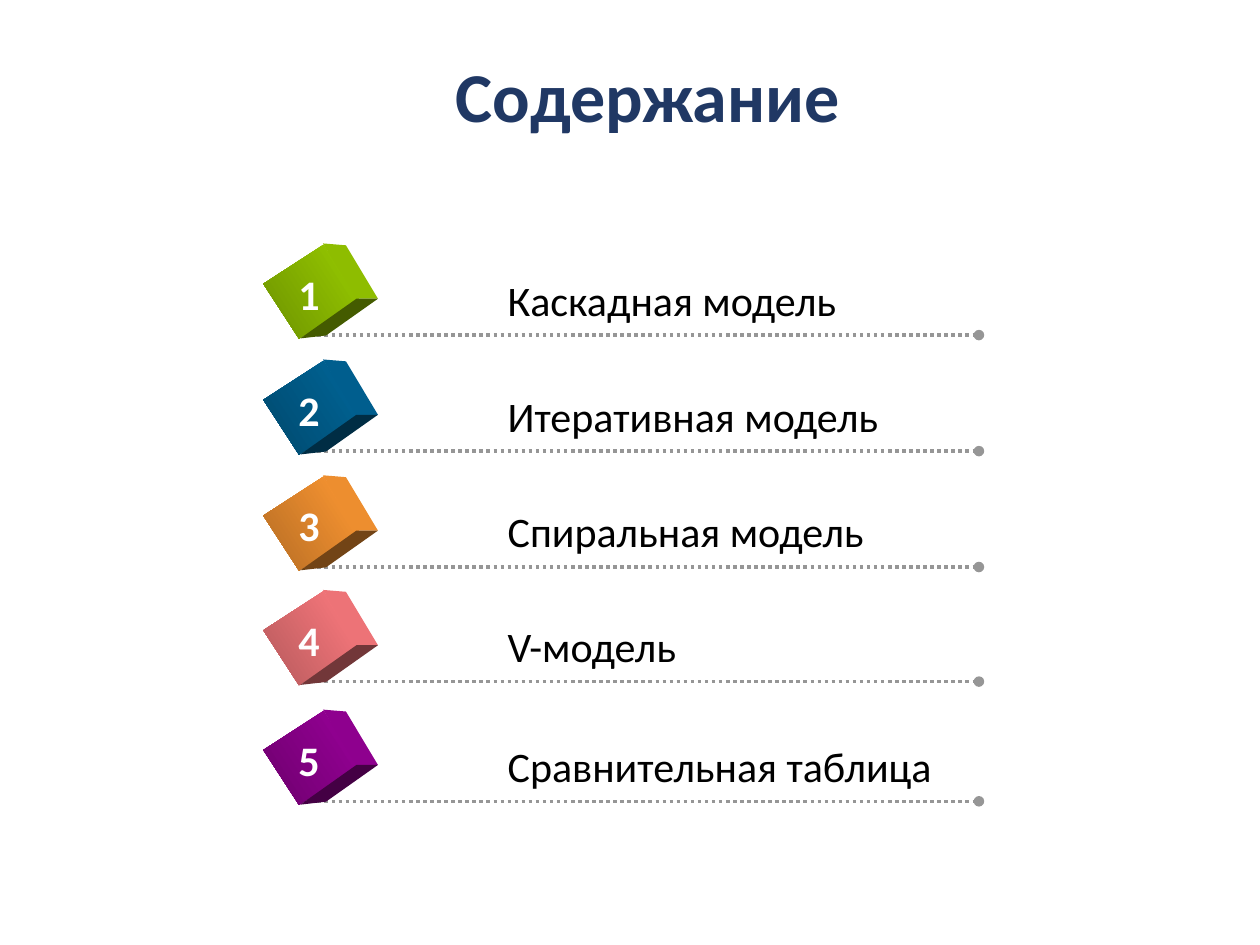
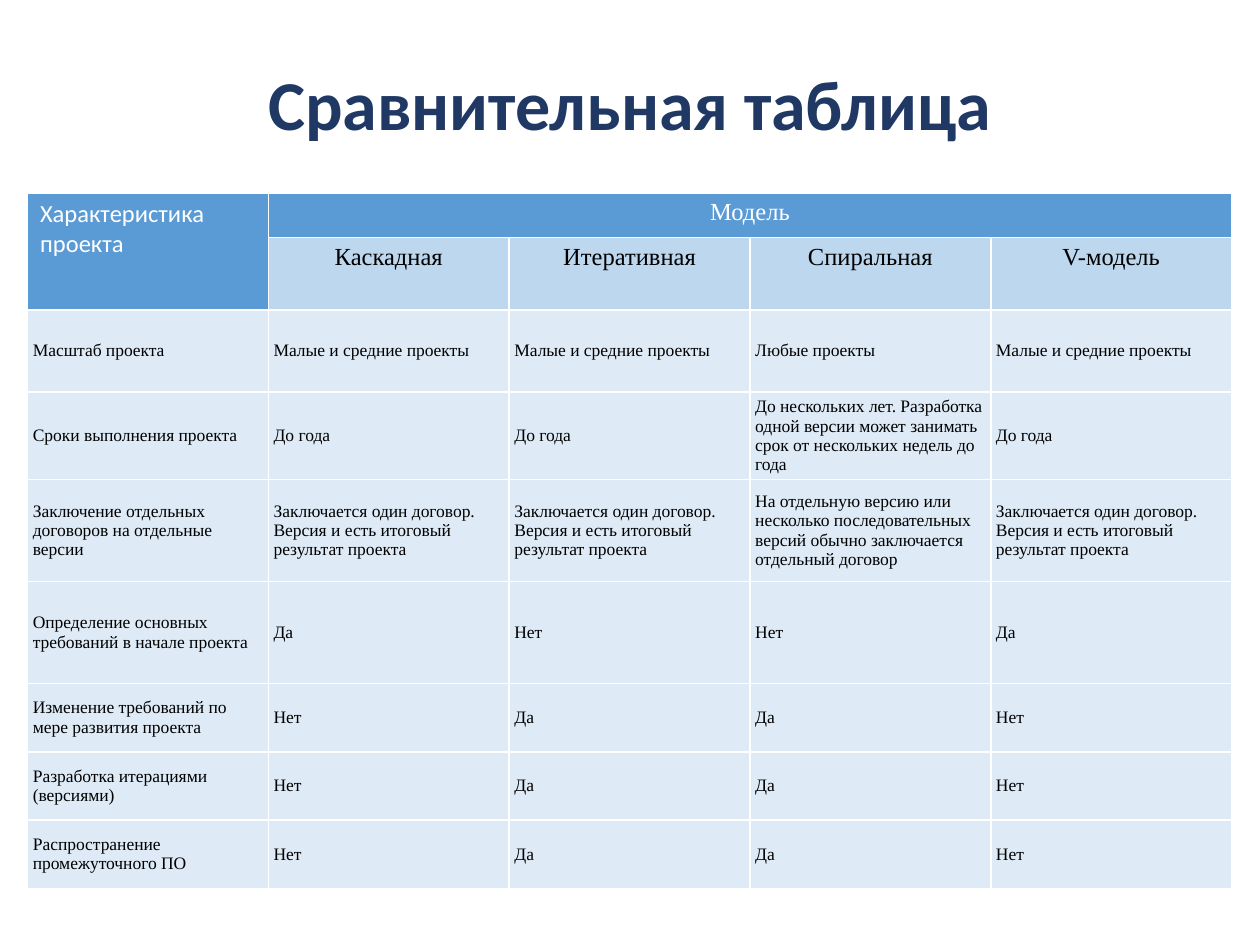
from pptx import Presentation
from pptx.util import Pt
from pptx.dml.color import RGBColor
from pptx.enum.dml import MSO_LINE
from pptx.enum.shapes import MSO_CONNECTOR, MSO_SHAPE
from pptx.enum.text import MSO_ANCHOR, MSO_AUTO_SIZE, PP_ALIGN
from pptx.oxml.ns import qn
from lxml.etree import SubElement

COLORS = {
    "title": "203864", "text": "000000", "white": "FFFFFF", "rule": "969696",
    "header": "5B9BD5", "subheader": "BDD7EE", "body": "DEEBF7",
}
SANS, SERIF = "Calibri", "Times New Roman"

CONTENTS = [
    ("Каскадная модель", "99CC00", "6D9200", 191.5, 204.5),
    ("Итеративная модель", "006699", "00496D", 257.8, 228.2),
    ("Спиральная модель", "FF9933", "B66D24", 324, 220.3),
    ("V-модель", "FF7C80", "B6595C", 389.5, 113),
    ("Сравнительная таблица", "990099", "6D006D", 457.9, 259.2),
]
SIDE_FACE = [(184.6, -52.4), (197.7, -51.3), (216, -20.8), (203.7, -20.8)]
BOTTOM_FACE = [(171.6, 1.9), (203.7, -20.8), (216, -20.8), (186.3, 0.2)]

ONE_CONTRACT = "Заключается один договор. Версия и есть итоговый результат проекта"
SMALL = "Малые и средние проекты"
MODELS = ["Каскадная", "Итеративная", "Спиральная", "V-модель"]
ROWS = [
    ["Масштаб проекта", SMALL, SMALL, "Любые проекты", SMALL],
    ["Сроки выполнения проекта", "До года", "До года",
     "До нескольких лет. Разработка одной версии может занимать срок "
     "от нескольких недель до года", "До года"],
    ["Заключение отдельных договоров на отдельные версии", ONE_CONTRACT, ONE_CONTRACT,
     "На отдельную версию или несколько последовательных версий "
     "обычно заключается отдельный договор", ONE_CONTRACT],
    ["Определение основных требований в начале проекта", "Да", "Нет", "Нет", "Да"],
    ["Изменение требований по мере развития проекта", "Нет", "Да", "Да", "Нет"],
    ["Разработка итерациями (версиями)", "Нет", "Да", "Да", "Нет"],
    ["Распространение промежуточного ПО", "Нет", "Да", "Да", "Нет"],
]
ROW_HEIGHTS = [25.6, 41.4, 46.8, 49.7, 58.3, 58.3, 39, 39, 39]
COL_WIDTH = 137.6


def rgb(value):
    return RGBColor.from_string(value)


def shade(value, factor):
    return "".join(f"{int(int(value[i:i + 2], 16) * factor):02X}" for i in (0, 2, 4))


def add_run(p, text, size, color, font=SANS, bold=False):
    r = p.add_run()
    r.text = text
    r.font.size, r.font.name, r.font.bold = Pt(size), font, bold
    r.font.color.rgb = rgb(color)


def add_slide(title, left, top):
    s = prs.slides.add_slide(prs.slide_layouts[5])
    sp = s.shapes.title
    sp.left, sp.top, sp.width, sp.height = Pt(left), Pt(top), Pt(594.7), Pt(70.6)
    tf = sp.text_frame
    tf.vertical_anchor = MSO_ANCHOR.MIDDLE
    p = tf.paragraphs[0]
    p.alignment, p.line_spacing = PP_ALIGN.CENTER, 0.9
    add_run(p, title, 40, COLORS["title"], bold=True)
    return s


def add_label(shapes, text, left, top, width, color, bold=False):
    tf = shapes.add_textbox(Pt(left), Pt(top), Pt(width), Pt(36.4)).text_frame
    tf.word_wrap = False
    tf.auto_size = MSO_AUTO_SIZE.SHAPE_TO_FIT_TEXT
    add_run(tf.paragraphs[0], text, 24, color, bold=bold)


def add_face(shapes, points, base, color):
    corners = [(Pt(x), Pt(base + y)) for x, y in points]
    builder = shapes.build_freeform(*corners[0])
    builder.add_line_segments(corners[1:], close=True)
    sp = builder.convert_to_shape()
    sp.shadow.inherit = False
    sp.fill.solid()
    sp.fill.fore_color.rgb = rgb(color)
    sp.line.fill.background()


def add_cube(shapes, base, light, dark):
    sp = shapes.add_shape(MSO_SHAPE.RECTANGLE, Pt(159.1), Pt(base - 45.3), Pt(37.4), Pt(41))
    sp.rotation = 57
    sp.shadow.inherit = False
    sp.line.fill.background()
    sp.fill.gradient()
    sp.fill.gradient_angle = 270
    for stop, color in zip(sp.fill.gradient_stops, (light, dark)):
        stop.color.rgb = rgb(color)
    add_face(shapes, SIDE_FACE, base, shade(light, 0.93))
    add_face(shapes, BOTTOM_FACE, base, shade(light, 0.45))


def add_rule(shapes, y):
    line = shapes.add_connector(MSO_CONNECTOR.STRAIGHT, Pt(181.4), Pt(y), Pt(559.4), Pt(y))
    line.line.color.rgb = rgb(COLORS["rule"])
    line.line.width = Pt(2)
    line.line.dash_style = MSO_LINE.ROUND_DOT
    spPr = line._element.spPr
    SubElement(spPr.find(qn("a:ln")), qn("a:tailEnd"), type="oval")
    SubElement(spPr, qn("a:effectLst"))


def set_cell(cell, text, fill, color, size, font=SERIF, centered=False):
    p = cell.text_frame.paragraphs[0]
    if centered:
        p.alignment = PP_ALIGN.CENTER
    if text:
        add_run(p, text, size, color, font)
    tcPr = cell._tc.get_or_add_tcPr()
    for side in ("a:lnL", "a:lnR", "a:lnT", "a:lnB"):
        ln = SubElement(tcPr, qn(side), w=str(Pt(1)))
        SubElement(SubElement(ln, qn("a:solidFill")), qn("a:srgbClr"), val=COLORS["white"])
    cell.fill.solid()
    cell.fill.fore_color.rgb = rgb(fill)


prs = Presentation()
prs.slide_width, prs.slide_height = Pt(720), Pt(540)

s = add_slide("Содержание", 72.7, 21.6)
for number, (text, light, dark, base, width) in enumerate(CONTENTS, 1):
    shapes = s.shapes.add_group_shape().shapes
    add_rule(shapes, base)
    add_cube(shapes, base, light, dark)
    add_label(shapes, text, 283, base - 38.4, width, COLORS["text"])
    add_label(shapes, str(number), 163.4, base - 41.8, 28.1, COLORS["white"], True)

s = add_slide("Сравнительная таблица", 62.6, 26.6)
table = s.shapes.add_table(len(ROW_HEIGHTS), 5, Pt(15.8), Pt(110.2),
                           Pt(5 * COL_WIDTH), Pt(sum(ROW_HEIGHTS))).table
for col in table.columns:
    col.width = Pt(COL_WIDTH)
for row, height in zip(table.rows, ROW_HEIGHTS):
    row.height = Pt(height)

heads = ["Характеристика проекта", "Модель", "", "", ""]
for c, text in enumerate(heads):
    set_cell(table.cell(0, c), text, COLORS["header"], COLORS["white"], 14,
             SERIF if c else SANS, c > 0)
for c, text in enumerate([""] + MODELS):
    set_cell(table.cell(1, c), text, COLORS["subheader" if c else "header"],
             COLORS["text"], 14, centered=True)
for r, row in enumerate(ROWS, 2):
    for c, text in enumerate(row):
        cell = table.cell(r, c)
        cell.vertical_anchor = MSO_ANCHOR.MIDDLE
        cell.margin_left = cell.margin_right = Pt(3)
        cell.margin_top = cell.margin_bottom = Pt(3)
        set_cell(cell, text, COLORS["body"], COLORS["text"], 10)
table.cell(0, 0).merge(table.cell(1, 0))
table.cell(0, 1).merge(table.cell(0, 4))

prs.save("out.pptx")
